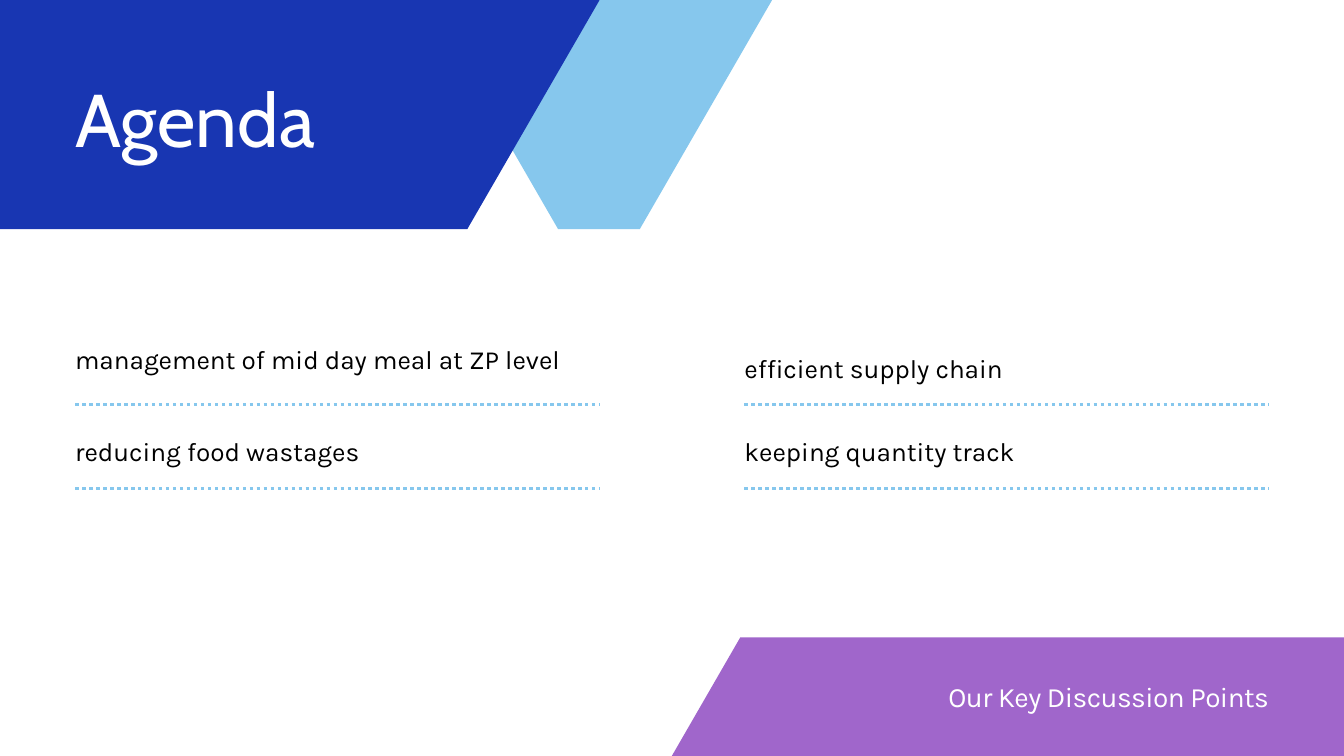
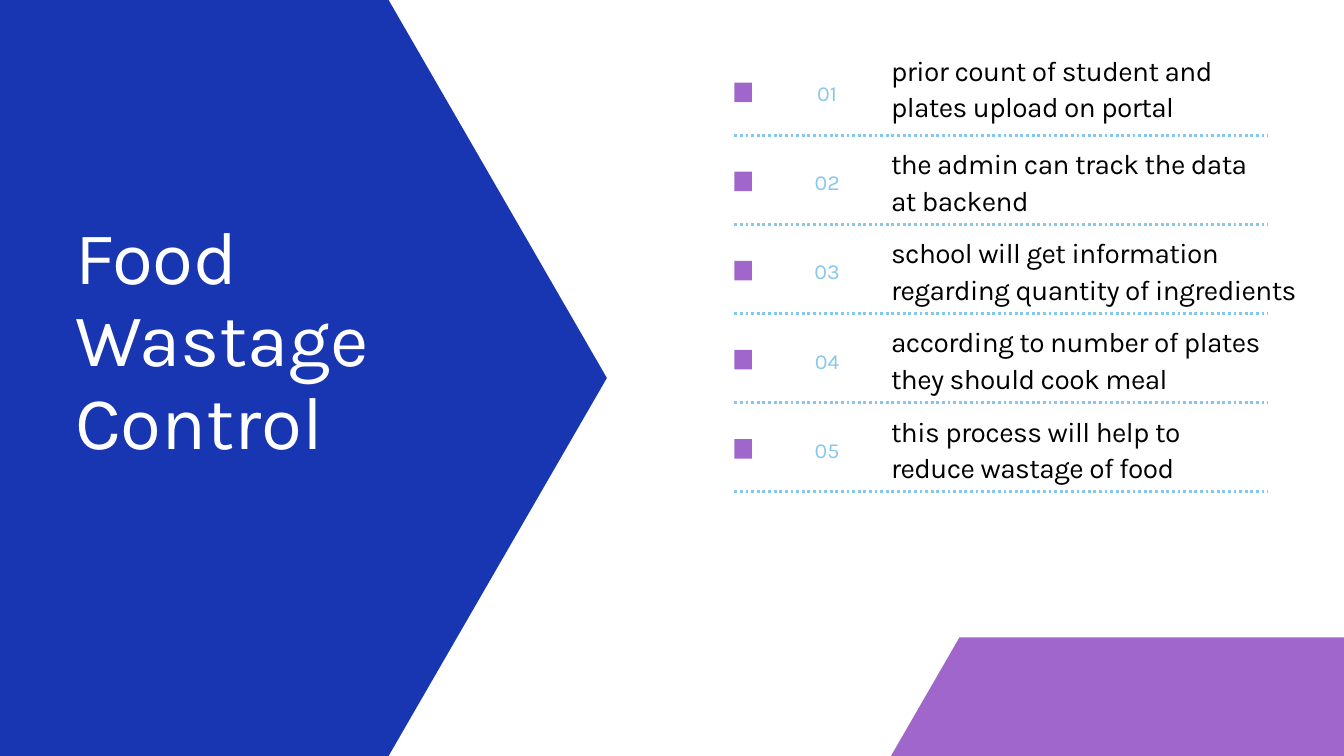
from dataclasses import dataclass
from math import sqrt

from lxml import etree
from pptx import Presentation
from pptx import util as u
from pptx.dml.color import RGBColor
from pptx.enum import dml, shapes, text
from pptx.oxml.ns import qn

BLUE = "1836B2"
SKY = "86C7ED"
PURPLE = "A066CB"
WHITE = "FFFFFF"
BLACK = "000000"

SLIDE_WIDTH, SLIDE_HEIGHT = 50.8, 28.58
MARGIN = 2.84
BAND_TOP = 24.1
LEFT, CENTER, RIGHT = text.PP_ALIGN.LEFT, text.PP_ALIGN.CENTER, text.PP_ALIGN.RIGHT


@dataclass(frozen=True)
class Box:
    left: float
    top: float
    width: float
    height: float


@dataclass(frozen=True)
class TextStyle:
    size: float
    line_spacing: float
    color: str
    font: str = "Karla"
    align: text.PP_ALIGN = LEFT
    tracking: int = 0


@dataclass(frozen=True)
class AgendaItem:
    label: str
    column: int
    row: int
    top: float


@dataclass(frozen=True)
class Step:
    label: str
    top_shift: float = 0
    width: float = 14.25


AGENDA_TITLE = TextStyle(80, 88, WHITE, "Cabin")
STEPS_TITLE = TextStyle(80, 88, WHITE)
FOOTER = TextStyle(30, 39, WHITE, align=RIGHT, tracking=-60)
AGENDA_TEXT = TextStyle(28, 39.2, BLACK)
STEP_NUMBER = TextStyle(23, 29.9, SKY, align=CENTER)
STEP_TEXT = TextStyle(30, 39, BLACK, tracking=-60)

AGENDA_ITEMS = (
    AgendaItem("management of mid day meal at ZP level", 0, 0, 12.78),
    AgendaItem("reducing food wastages", 0, 1, 16.28),
    AgendaItem("efficient supply chain", 1, 0, 13.11),
    AgendaItem("keeping quantity track", 1, 1, 16.28),
)

STEPS = (
    Step("prior count of student and plates upload on portal", top_shift=-0.17),
    Step("the admin can track the data at backend"),
    Step("school will get information regarding quantity of ingredients", width=16.18),
    Step("according to number of plates they should cook meal"),
    Step("this process will help to reduce wastage of food"),
)


def rgb(color: str) -> RGBColor:
    return RGBColor.from_string(color)


def fill_plain(shape, color: str) -> None:
    shape.fill.solid()
    shape.fill.fore_color.rgb = rgb(color)
    shape.line.fill.background()
    shape.shadow.inherit = False


def add_hexagon(slide, box: Box, color: str) -> None:
    right, bottom = box.left + box.width, box.top + box.height
    middle = box.top + box.height / 2
    inset = box.height / 2 / sqrt(3)
    corners = [
        (box.left + inset, box.top),
        (right - inset, box.top),
        (right, middle),
        (right - inset, bottom),
        (box.left + inset, bottom),
        (box.left, middle),
    ]
    points = [(u.Cm(x), u.Cm(y)) for x, y in corners]
    builder = slide.shapes.build_freeform(*points[0])
    builder.add_line_segments(points[1:], close=True)
    fill_plain(builder.convert_to_shape(), color)


def add_square(slide, box: Box, color: str) -> None:
    shape = slide.shapes.add_shape(
        shapes.MSO_SHAPE.RECTANGLE,
        u.Cm(box.left), u.Cm(box.top), u.Cm(box.width), u.Cm(box.height),
    )
    fill_plain(shape, color)


def add_dotted_line(slide, left: float, top: float, length: float, weight: float) -> None:
    connector = slide.shapes.add_connector(
        shapes.MSO_CONNECTOR.STRAIGHT,
        u.Cm(left), u.Cm(top), u.Cm(left + length), u.Cm(top),
    )
    connector.line.color.rgb = rgb(SKY)
    connector.line.width = u.Pt(weight)
    connector.line.dash_style = dml.MSO_LINE.ROUND_DOT
    etree.SubElement(connector._element.spPr, qn("a:effectLst"))


def add_text(slide, box: Box, content: str, style: TextStyle) -> None:
    shape = slide.shapes.add_textbox(
        u.Cm(box.left), u.Cm(box.top), u.Cm(box.width), u.Cm(box.height)
    )
    frame = shape.text_frame
    frame.margin_left = frame.margin_right = frame.margin_top = frame.margin_bottom = 0
    frame.word_wrap = True
    frame.auto_size = text.MSO_AUTO_SIZE.SHAPE_TO_FIT_TEXT
    frame.text = content
    for paragraph in frame.paragraphs:
        paragraph.alignment = style.align
        paragraph.line_spacing = u.Pt(style.line_spacing)
        for run in paragraph.runs:
            run.font.name = style.font
            run.font.size = u.Pt(style.size)
            run.font.color.rgb = rgb(style.color)
            if style.tracking:
                run._r.get_or_add_rPr().set("spc", str(style.tracking))


def add_blank_slide(presentation):
    slide = presentation.slides.add_slide(presentation.slide_layouts[6])
    slide.background.fill.solid()
    slide.background.fill.fore_color.rgb = rgb(WHITE)
    return slide


def build_agenda(presentation) -> None:
    slide = add_blank_slide(presentation)
    add_hexagon(slide, Box(25.4, BAND_TOP, 31.88, 8.94), PURPLE)
    add_hexagon(slide, Box(16.1, -8.64, 13.08, 17.3), SKY)
    add_hexagon(slide, Box(-5.84, -8.64, 28.5, 17.3), BLUE)
    add_text(slide, Box(MARGIN, 3.05, 14.15, 3.18), "Agenda", AGENDA_TITLE)
    add_text(slide, Box(31.65, 25.6, 16.31, 1.35), "Our Key Discussion Points", FOOTER)
    for item in AGENDA_ITEMS:
        left = MARGIN + item.column * 25.3
        add_text(slide, Box(left, item.top, 20.45, 1.35), item.label, AGENDA_TEXT)
        add_dotted_line(slide, left, 15.29 + item.row * 3.18, 19.81, 3.75)


def build_steps(presentation) -> None:
    slide = add_blank_slide(presentation)
    add_hexagon(slide, Box(-8.28, 0, 31.22, SLIDE_HEIGHT), BLUE)
    add_hexagon(slide, Box(31.27, BAND_TOP, 27.28, 17.3), PURPLE)
    add_text(slide, Box(MARGIN, 8.23, 13.41, 9.42), "Food Wastage\nControl", STEPS_TITLE)
    list_left, row_pitch = 27.76, 3.37
    for index, step in enumerate(STEPS):
        offset = index * row_pitch
        add_dotted_line(slide, list_left, 5.11 + offset, 20.17, 3)
        add_square(slide, Box(list_left, 3.12 + offset, 0.66, 0.74), PURPLE)
        add_text(slide, Box(30.58, 2.95 + offset, 1.37, 0.99), f"{index + 1:02}", STEP_NUMBER)
        label_box = Box(33.68, 2.07 + offset + step.top_shift, step.width, 2.74)
        add_text(slide, label_box, step.label, STEP_TEXT)


def main() -> None:
    presentation = Presentation()
    presentation.slide_width = u.Cm(SLIDE_WIDTH)
    presentation.slide_height = u.Cm(SLIDE_HEIGHT)
    build_agenda(presentation)
    build_steps(presentation)
    presentation.save("out.pptx")


if __name__ == "__main__":
    main()
